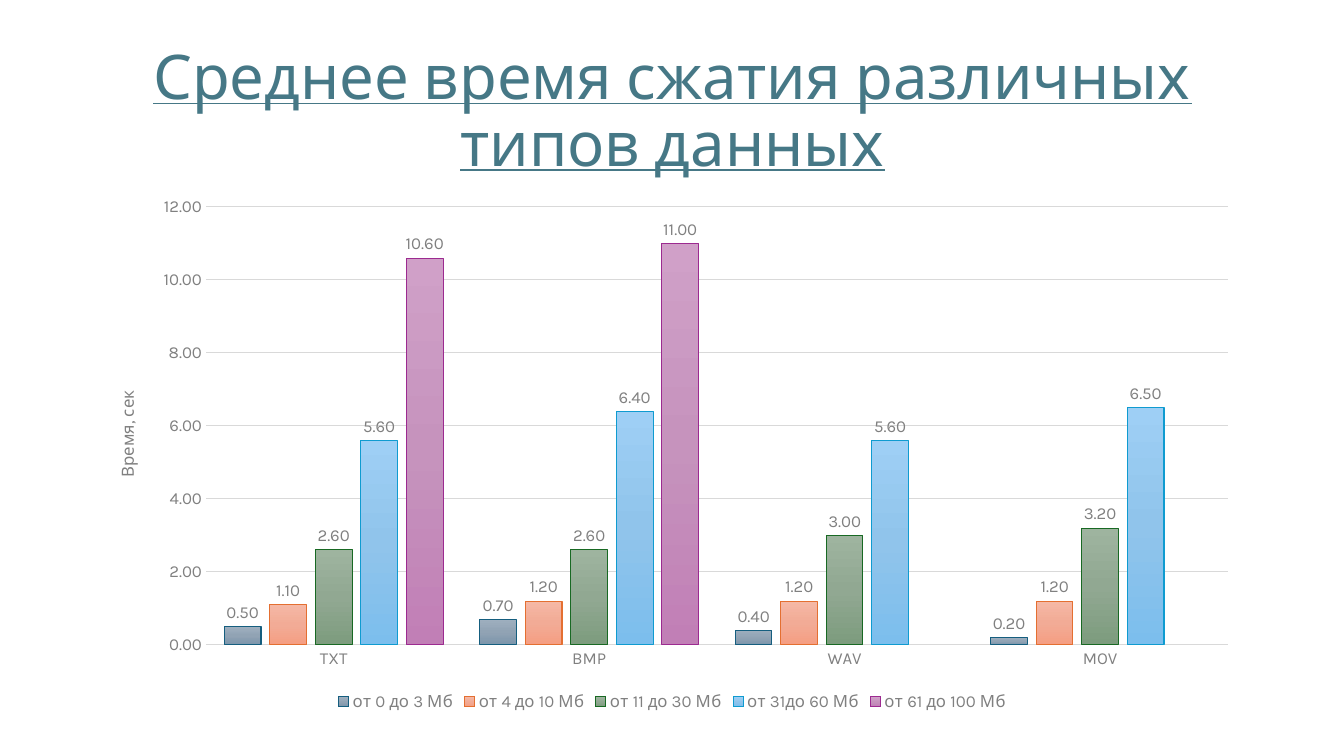
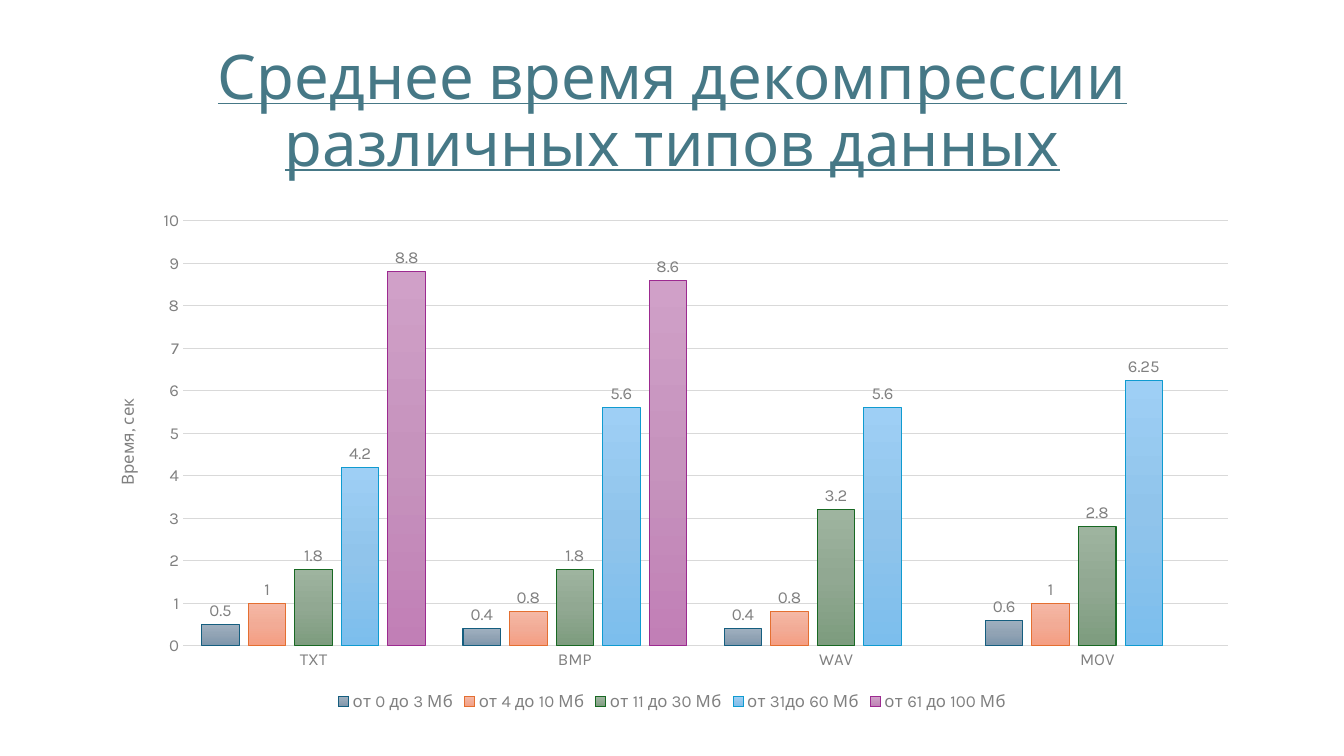
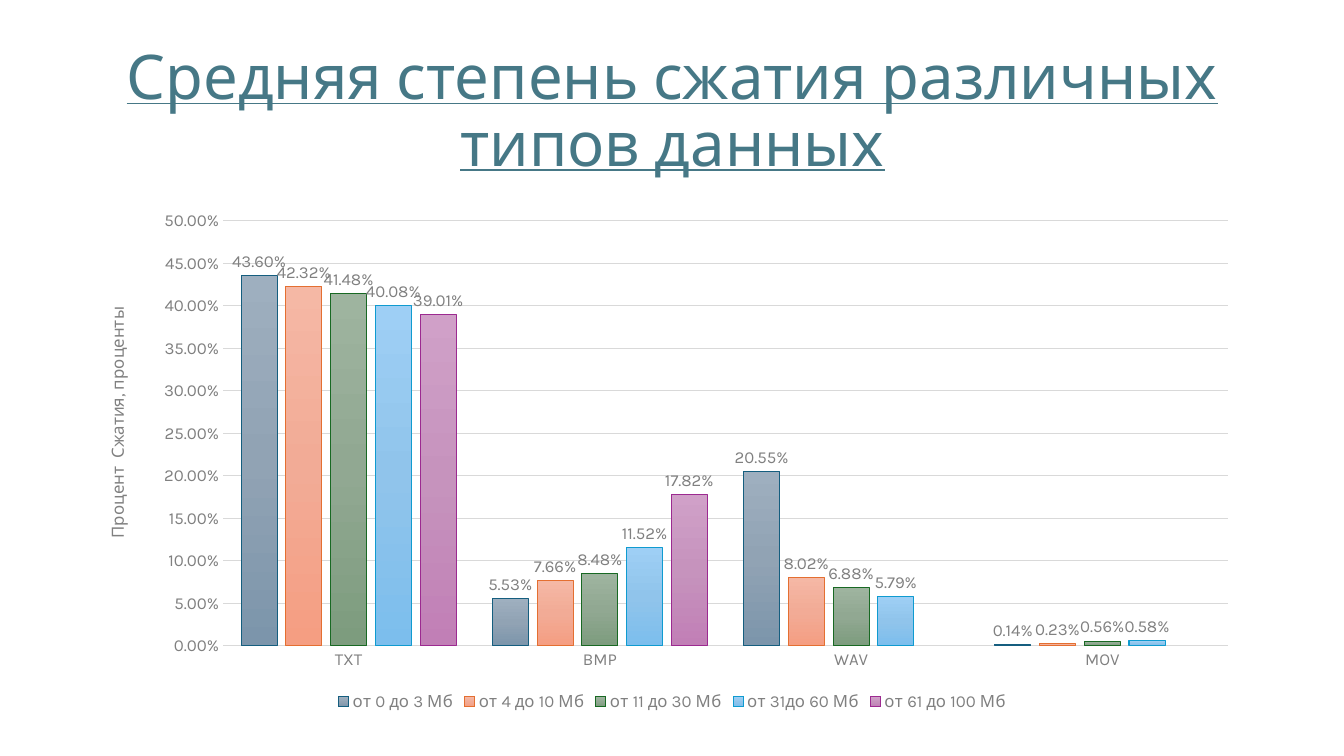
"""Three slides of column charts on compressing various kinds of data."""
from pptx import Presentation
from pptx.chart.data import CategoryChartData
from pptx.dml.color import RGBColor
from pptx.enum.chart import XL_CHART_TYPE, XL_LABEL_POSITION, XL_LEGEND_POSITION, XL_TICK_MARK
from pptx.enum.text import MSO_ANCHOR, PP_ALIGN
from pptx.oxml import parse_xml
from pptx.oxml.ns import nsdecls, qn
from pptx.util import Pt

PX = 914400 / 100.8
FONT = "Karla"
COLOURS = {"background": "FFFFFF", "title": "467886", "label": "808080", "grid": "D9D9D9"}
TITLE_BOX = (93, 40, 1159, 146)
CHART_LEFT, CHART_WIDTH, CHART_BOTTOM = 93, 1159, 716
PLOT_RIGHT = 1228
CATEGORIES = ["TXT", "BMP", "WAV", "MOV"]
SERIES = [
    ("от 0 до 3 Мб", "155E7F", ("9EAFBF", "91A3B4", "7C95AB")),
    ("от 4 до 10 Мб", "E46F31", ("F5B8A5", "F2AB96", "F59E82")),
    ("от 11 до 30 Мб", "186923", ("9EB49F", "91A892", "7D9C7E")),
    ("от 31до 60 Мб", "0F9BD0", ("9ECFF5", "90C4EB", "7CBEED")),
    ("от 61 до 100 Мб", "9C2A90", ("D0A0C8", "C693BD", "C17FB6")),
]
SLIDES = [
    {
        "title": "Среднее время сжатия различных типов данных",
        "axis": "Время, сек", "axis_at": (113, 388),
        "format": "0.00", "maximum": 12, "step": 2,
        "top": 186, "plot": (206, 207, 645),
        "values": [
            (0.5, 0.7, 0.4, 0.2),
            (1.1, 1.2, 1.2, 1.2),
            (2.6, 2.6, 3, 3.2),
            (5.6, 6.4, 5.6, 6.5),
            (10.6, 11, None, None),
        ],
    },
    {
        "title": "Среднее время декомпрессии различных типов данных",
        "axis": "Время, сек", "axis_at": (113, 396),
        "format": "General", "maximum": 10, "step": 1,
        "top": 202, "plot": (183, 221, 646),
        "values": [
            (0.5, 0.4, 0.4, 0.6),
            (1, 0.8, 0.8, 1),
            (1.8, 1.8, 3.2, 2.8),
            (4.2, 5.6, 5.6, 6.25),
            (8.8, 8.6, None, None),
        ],
    },
    {
        "title": "Средняя степень сжатия различных типов данных",
        "axis": "Процент  Сжатия, проценты", "axis_at": (103, 304),
        "format": "0.00%", "maximum": 0.5, "step": 0.05,
        "top": 202, "plot": (223, 221, 646),
        "values": [
            (0.436, 0.0553, 0.2055, 0.0014),
            (0.4232, 0.0766, 0.0802, 0.0023),
            (0.4148, 0.0848, 0.0688, 0.0056),
            (0.4008, 0.1152, 0.0579, 0.0058),
            (0.3901, 0.1782, None, None),
        ],
    },
]


def px(*lengths):
    return [round(length * PX) for length in lengths]


def style_font(font, size, colour):
    font.name = FONT
    font.size = Pt(size)
    font.bold = False
    font.color.rgb = RGBColor.from_string(COLOURS[colour])


def style_line(line, colour):
    line.width = Pt(0.75)
    line.color.rgb = RGBColor.from_string(colour)


def set_layout(parent, index, target="", **fractions):
    for old in parent.findall(qn("c:layout")):
        parent.remove(old)
    modes = "".join(f'<c:{key}Mode val="edge"/>' for key in ("x", "y"))
    sizes = "".join(f'<c:{key} val="{value:.4f}"/>' for key, value in fractions.items())
    parent.insert(index, parse_xml(
        f'<c:layout {nsdecls("c")}><c:manualLayout>{target}{modes}{sizes}'
        "</c:manualLayout></c:layout>"))


def add_title(page, text):
    frame = page.shapes.add_textbox(*px(*TITLE_BOX)).text_frame
    frame.word_wrap = True
    frame.vertical_anchor = MSO_ANCHOR.MIDDLE
    para = frame.paragraphs[0]
    para.text = text
    para.alignment = PP_ALIGN.CENTER
    para.line_spacing = 0.9
    span = para.runs[0]
    style_font(span.font, 44, "title")
    span.font.underline = True


def style_series(series, outline, shades, number_format):
    stops = "".join(
        f'<a:gs pos="{position}"><a:srgbClr val="{shade}"/></a:gs>'
        for position, shade in zip((0, 50000, 100000), shades))
    series._element.get_or_add_spPr().insert(0, parse_xml(
        f'<a:gradFill {nsdecls("a")} rotWithShape="1"><a:gsLst>{stops}</a:gsLst>'
        '<a:lin ang="5400000" scaled="0"/></a:gradFill>'))
    style_line(series.format.line, outline)
    series.invert_if_negative = False
    labels = series.data_labels
    labels.show_value = True
    labels.position = XL_LABEL_POSITION.OUTSIDE_END
    labels.number_format = number_format
    labels.number_format_is_linked = False
    style_font(labels.font, 12, "label")


def style_axes(chart, content):
    for axis in (chart.category_axis, chart.value_axis):
        axis.major_tick_mark = XL_TICK_MARK.NONE
        axis.minor_tick_mark = XL_TICK_MARK.NONE
        style_font(axis.tick_labels.font, 12, "label")
    style_line(chart.category_axis.format.line, COLOURS["grid"])
    axis = chart.value_axis
    axis.minimum_scale = 0
    axis.maximum_scale = content["maximum"]
    axis.major_unit = content["step"]
    axis.format.line.fill.background()
    axis.has_major_gridlines = True
    style_line(axis.major_gridlines.format.line, COLOURS["grid"])
    axis.tick_labels.number_format = content["format"]
    axis.tick_labels.number_format_is_linked = False
    para = axis.axis_title.text_frame.paragraphs[0]
    para.text = content["axis"]
    style_font(para.runs[0].font, 12, "label")
    for body in axis.axis_title._element.iter(qn("a:bodyPr")):
        body.set("rot", "-5400000")
        body.set("vert", "horz")


def place_parts(chart, content, height):
    top = content["top"]
    title_left, title_top = content["axis_at"]
    plot_left, plot_top, plot_bottom = content["plot"]
    set_layout(chart.value_axis.axis_title._element, 1,
               x=(title_left - CHART_LEFT) / CHART_WIDTH, y=(title_top - top) / height)
    area = chart._chartSpace.find(qn("c:chart")).find(qn("c:plotArea"))
    set_layout(area, 0, '<c:layoutTarget val="inner"/>',
               x=(plot_left - CHART_LEFT) / CHART_WIDTH, y=(plot_top - top) / height,
               w=(PLOT_RIGHT - plot_left) / CHART_WIDTH, h=(plot_bottom - plot_top) / height)


def add_column_chart(page, content):
    data = CategoryChartData(number_format=content["format"])
    data.categories = CATEGORIES
    for (name, *_), values in zip(SERIES, content["values"]):
        data.add_series(name, values)
    height = CHART_BOTTOM - content["top"]
    chart = page.shapes.add_chart(
        XL_CHART_TYPE.COLUMN_CLUSTERED,
        *px(CHART_LEFT, content["top"], CHART_WIDTH, height), data).chart
    chart.has_title = False
    style_font(chart.font, 12, "label")
    chart.has_legend = True
    chart.legend.position = XL_LEGEND_POSITION.BOTTOM
    chart.legend.include_in_layout = False
    style_font(chart.legend.font, 12, "label")
    plot = chart.plots[0]
    plot.gap_width = 100
    plot.overlap = -24
    plot.vary_by_categories = False
    for series, (_, outline, shades) in zip(plot.series, SERIES):
        style_series(series, outline, shades, content["format"])
    style_axes(chart, content)
    place_parts(chart, content, height)


def main():
    deck = Presentation()
    deck.slide_width, deck.slide_height = px(1344, 756)
    for content in SLIDES:
        page = deck.slides.add_slide(deck.slide_layouts[6])
        page.background.fill.solid()
        page.background.fill.fore_color.rgb = RGBColor.from_string(COLOURS["background"])
        add_title(page, content["title"])
        add_column_chart(page, content)
    deck.save("out.pptx")


if __name__ == "__main__":
    main()
